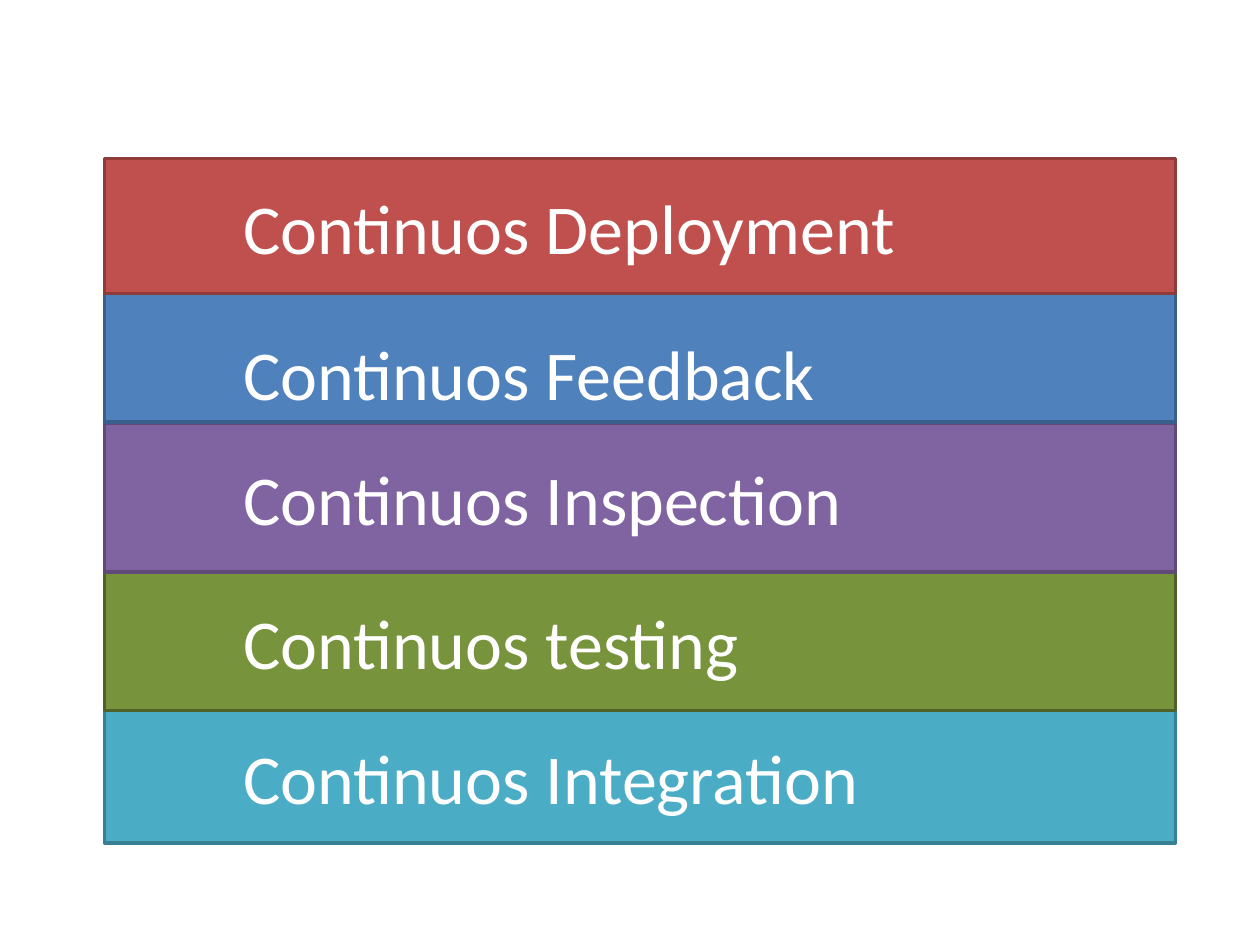
from dataclasses import dataclass

from pptx import Presentation
from pptx.dml.color import RGBColor
from pptx.enum.shapes import MSO_SHAPE
from pptx.enum.text import MSO_ANCHOR, PP_ALIGN
from pptx.util import Inches, Pt

RECTANGLE = MSO_SHAPE.RECTANGLE
MIDDLE = MSO_ANCHOR.MIDDLE
LEFT = PP_ALIGN.LEFT


@dataclass(frozen=True)
class Theme:
    font: str = "Calibri"
    text_size: float = 40
    border_width: float = 2
    text: str = "FFFFFF"
    teal: tuple[str, str] = ("4BACC6", "377F92")
    green: tuple[str, str] = ("77933C", "4F6228")
    purple: tuple[str, str] = ("8064A2", "5F4A78")
    blue: tuple[str, str] = ("4F81BD", "3A5F8C")
    red: tuple[str, str] = ("C0504D", "8E3B39")


@dataclass(frozen=True)
class Practice:
    label: str
    top: float
    height: float
    colors: tuple[str, str]  # fill, border
    inset_top: float = 0.05


THEME = Theme()
STACK_LEFT, STACK_WIDTH = 0.83, 8.5
LABEL_INDENT = 1.1

# Layers of the stack, from the foundation up
PRACTICES = [
    Practice("Continuos Integration", 5.64, 1.05, THEME.teal),
    Practice("Continuos testing", 4.54, 1.1, THEME.green),
    Practice("Continuos Inspection", 3.36, 1.18, THEME.purple),
    Practice("Continuos Feedback", 2.29, 1.06, THEME.blue, inset_top=0.32),
    Practice("Continuos Deployment", 1.26, 1.07, THEME.red),
]


def apply_format(target: object, values: dict[str, object]) -> None:
    for name, value in values.items():
        setattr(target, name, value)


def draw_practice(slide, practice: Practice) -> None:
    layer = slide.shapes.add_shape(
        RECTANGLE, Inches(STACK_LEFT), Inches(practice.top),
        Inches(STACK_WIDTH), Inches(practice.height))
    layer.shadow.inherit = False

    # Fill and border
    fill, border = (RGBColor.from_string(color) for color in practice.colors)
    layer.fill.solid()
    layer.fill.fore_color.rgb = fill
    layer.line.color.rgb = border
    layer.line.width = Pt(THEME.border_width)

    # Label
    frame = layer.text_frame
    apply_format(frame, {
        "word_wrap": True,
        "vertical_anchor": MIDDLE,
        "margin_left": Inches(LABEL_INDENT),
        "margin_top": Inches(practice.inset_top),
    })
    label = frame.paragraphs[0]
    label.alignment = LEFT
    run = label.add_run()
    run.text = practice.label
    apply_format(run.font, {"name": THEME.font, "size": Pt(THEME.text_size)})
    run.font.color.rgb = RGBColor.from_string(THEME.text)


def main() -> None:
    deck = Presentation()
    deck.slide_width, deck.slide_height = Inches(10), Inches(7.5)
    slide = deck.slides.add_slide(deck.slide_layouts[6])
    for practice in PRACTICES:
        draw_practice(slide, practice)
    deck.save("out.pptx")


if __name__ == "__main__":
    main()
